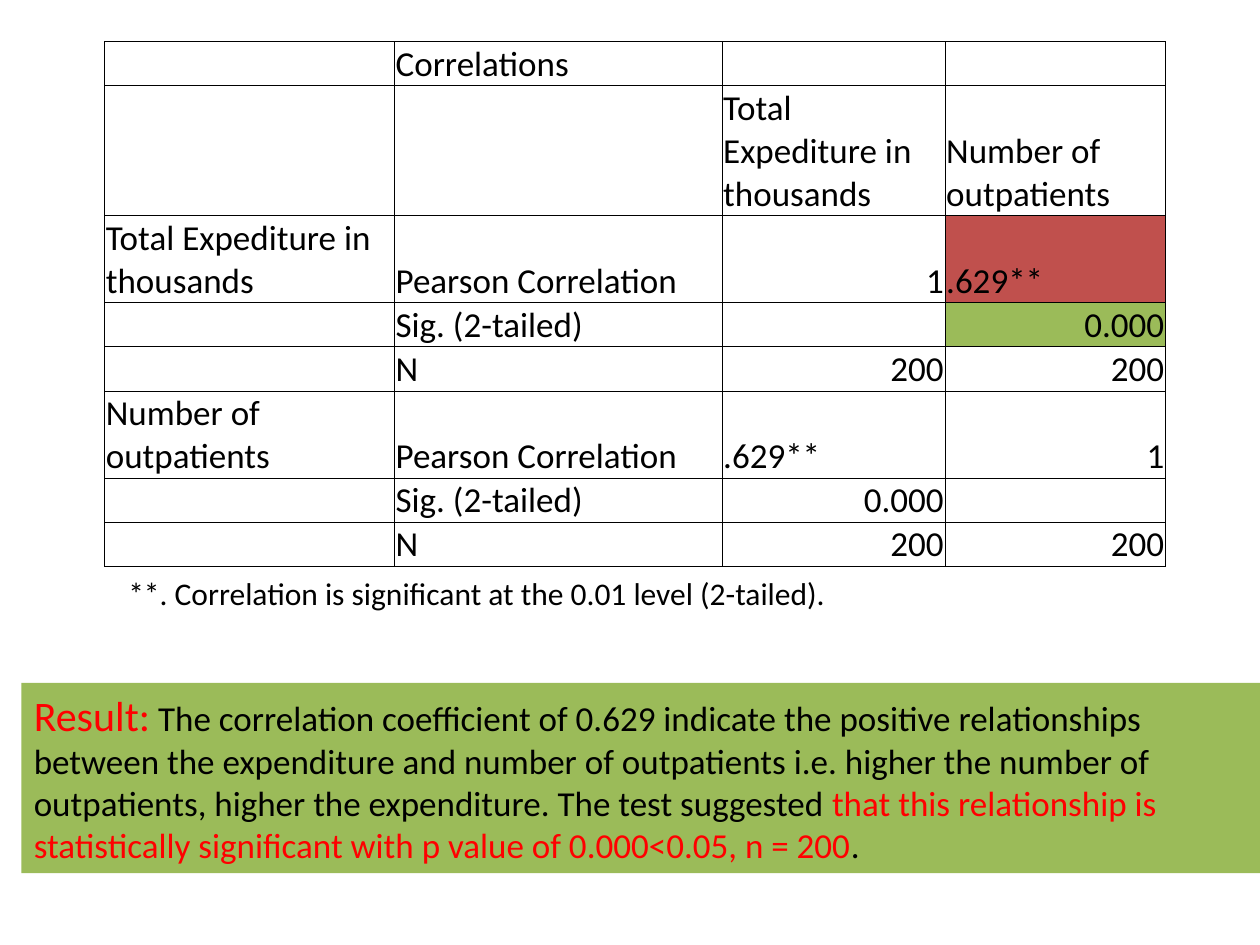
import pptx
import pptx.util
import pptx.dml.color
import pptx.enum.text
import pptx.enum.shapes
import lxml.etree

Inches = pptx.util.Inches
Pt = pptx.util.Pt
align = pptx.enum.text.PP_ALIGN
anchor = pptx.enum.text.MSO_ANCHOR

BLACK, RED, BRICK, GREEN = "000000", "FF0000", "C0504D", "9BBB59"


def color(text):
    return pptx.dml.color.RGBColor.from_string(text)


def style(font, size, tint):
    font.name = "Calibri"
    font.size = Pt(size)
    font.color.rgb = color(tint)


deck = pptx.Presentation()
deck.slide_width, deck.slide_height = Inches(10), Inches(7.5)
slide = deck.slides.add_slide(deck.slide_layouts[6])

# Correlation table
total = "Total Expediture in thousands"
count = "Number of outpatients"
pearson, sig = "Pearson Correlation", "Sig. (2-tailed)"
rows = [
    ["", "Correlations", "", ""],
    ["", "", total, count],
    [total, pearson, "1", ".629**"],
    ["", sig, "", "0.000"],
    ["", "N", "200", "200"],
    [count, pearson, ".629**", "1"],
    ["", sig, "0.000", ""],
    ["", "N", "200", "200"],
]
widths = [2.3, 2.6, 1.77, 1.75]
heights = [0.3, 0.88, 0.59, 0.3, 0.3, 0.59, 0.3, 0.3]
fills = {(2, 3): BRICK, (3, 3): GREEN}

table = slide.shapes.add_table(
    len(rows), len(widths), Inches(0.83), Inches(0.33),
    Inches(sum(widths)), Inches(sum(heights))).table
table.first_row = table.horz_banding = False
for col, width in zip(table.columns, widths):
    col.width = Inches(width)
for row, height in zip(table.rows, heights):
    row.height = Inches(height)

for r, row in enumerate(rows):
    for c, text in enumerate(row):
        cell = table.cell(r, c)
        cell.margin_left = cell.margin_right = cell.margin_top = Inches(0.01)
        cell.margin_bottom = 0
        cell.vertical_anchor = anchor.BOTTOM
        cell.text = text
        para = cell.text_frame.paragraphs[0]
        style(para.font, 20, BLACK)
        if text in ("1", "200", "0.000"):
            para.alignment = align.RIGHT

        # Thin borders come before the fill in the cell's XML
        props = cell._tc.get_or_add_tcPr()
        for side in ("lnL", "lnR", "lnT", "lnB"):
            line = lxml.etree.SubElement(
                props, pptx.oxml.ns.qn("a:" + side), w=str(Pt(0.5)))
            paint = lxml.etree.SubElement(line, pptx.oxml.ns.qn("a:solidFill"))
            lxml.etree.SubElement(
                paint, pptx.oxml.ns.qn("a:srgbClr"), val=BLACK)
        if (r, c) in fills:
            cell.fill.solid()
            cell.fill.fore_color.rgb = color(fills[r, c])
        else:
            cell.fill.background()

# Footnote
note = slide.shapes.add_textbox(
    Inches(0.92), Inches(4.51), Inches(6), Inches(0.4)).text_frame
note.word_wrap = True
note.text = "**. Correlation is significant at the 0.01 level (2-tailed)."
style(note.paragraphs[0].font, 18, BLACK)

# Result panel
panel = slide.shapes.add_shape(
    pptx.enum.shapes.MSO_SHAPE.RECTANGLE,
    Inches(0.17), Inches(5.42), Inches(9.83), Inches(1.51))
panel.shadow.inherit = False
panel.fill.solid()
panel.fill.fore_color.rgb = color(GREEN)
panel.line.fill.background()
frame = panel.text_frame
frame.word_wrap = True
frame.vertical_anchor = anchor.TOP
para = frame.paragraphs[0]
para.alignment = align.LEFT
parts = [
    ("Result:", 24, RED),
    (" The correlation coefficient of 0.629 indicate the positive "
     "relationships between the expenditure and number of outpatients i.e. "
     "higher the number of outpatients, higher the expenditure. "
     "The test suggested ", 20, BLACK),
    ("that this relationship is statistically significant with p value of "
     "0.000<0.05, n = 200", 20, RED),
    (".", 20, BLACK),
]
for text, size, tint in parts:
    run = para.add_run()
    run.text = text
    style(run.font, size, tint)

deck.save("out.pptx")
